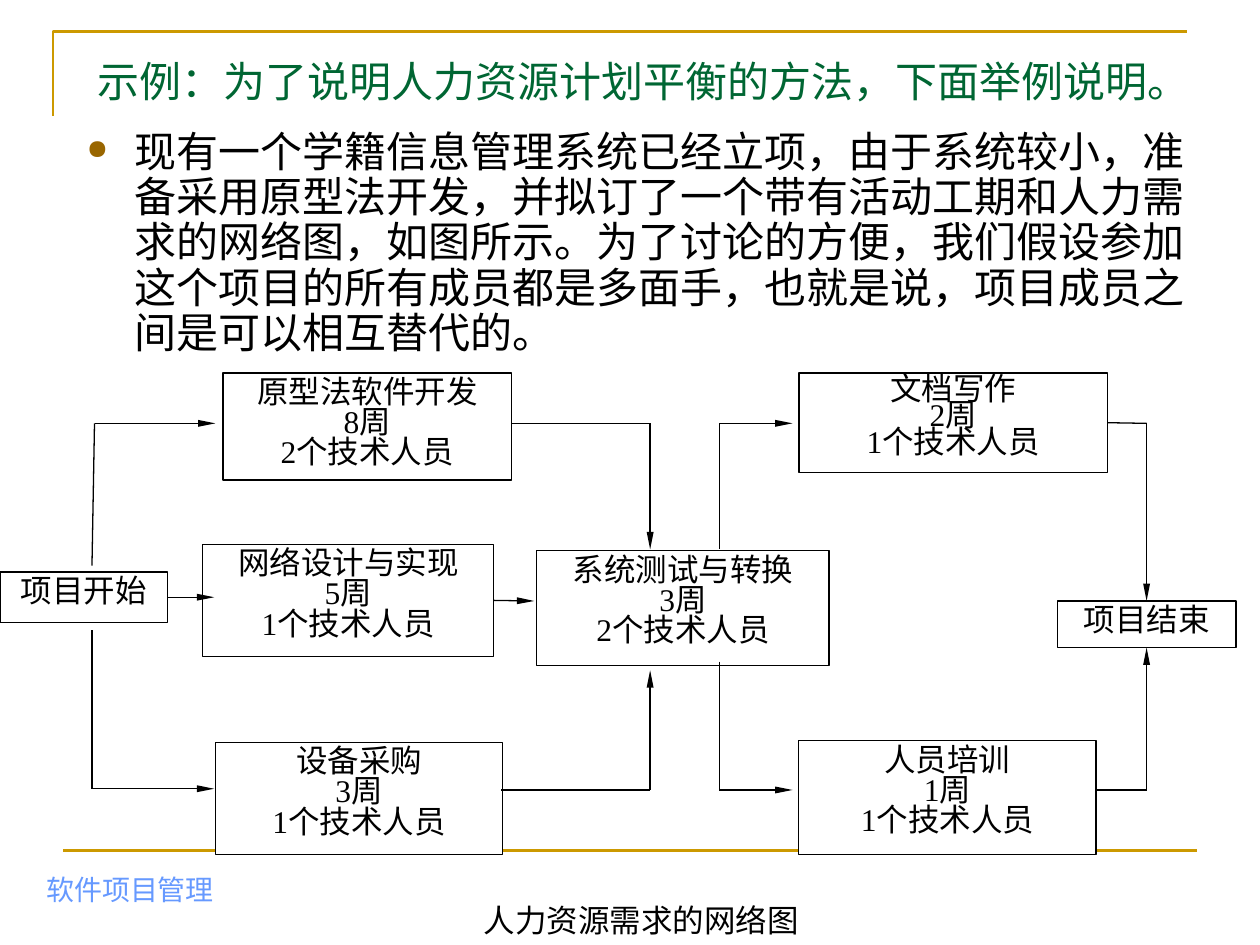
from dataclasses import dataclass

from lxml import etree
from pptx import Presentation
from pptx import util as u
from pptx.dml.color import RGBColor
from pptx.enum import shapes, text
from pptx.oxml.ns import qn

PX = 9144


@dataclass(frozen=True)
class Theme:
    ink: str = "000000"
    paper: str = "FFFFFF"
    rule: str = "CC9900"
    bullet: str = "996600"
    title: str = "006633"
    footer: str = "6699FF"
    serif: str = "Times New Roman"
    sans: str = "Arial"
    large: int = 24
    label: int = 18
    small: int = 16
    heavy: float = 1.5
    thin: float = 0.75


T = Theme()
TOP, LEFT, BOTTOM, RIGHT = range(4)

NODES = {
    "prototype": ((177, 0, 229, 85), 0.8, ["原型法软件开发", "8周", "2个技术人员"]),
    "document": ((634, 0, 245, 79), 0.7, ["文档写作", "2周", "1个技术人员"]),
    "network": ((161, 136, 231, 89), 0.8, ["网络设计与实现", "5周", "1个技术人员"]),
    "purchase": ((171, 293, 228, 89), 0.8, ["设备采购", "3周", "1个技术人员"]),
    "test": ((426, 141, 232, 91), 0.8, ["系统测试与转换", "3周", "2个技术人员"]),
    "training": ((634, 292, 236, 90), 0.8, ["人员培训", "1周", "1个技术人员"]),
    "start": ((0, 158, 133, 40), 0.8, ["项目开始"]),
    "end": ((839, 181, 142, 37), 0.8, ["项目结束"]),
}

LINES = [
    ((75, 40), (73, 153)),
    ((73, 204), (73, 330)),
    ((406, 40), (516, 40)),
    ((398, 331), (516, 331)),
    ((571, 40), (571, 140)),
    ((571, 229), (571, 330)),
    (("document", RIGHT), (910, 40)),
    ((870, 331), (910, 331)),
]

ARROWS = [
    ((75, 40), (171, 40)),
    ((73, 330), (170, 330)),
    (("start", RIGHT), (170, 178)),
    ((516, 40), (516, 140)),
    ((516, 331), (516, 236)),
    (("network", RIGHT), (424, 181)),
    ((571, 40), (629, 40)),
    ((571, 331), (629, 331)),
    ((910, 40), ("end", TOP)),
    ((910, 331), ("end", BOTTOM)),
]


def emu(*lengths):
    return [u.Emu(n * PX) for n in lengths]


def style_line(line, color, width):
    line.color.rgb = RGBColor.from_string(color)
    line.width = u.Pt(width)


def write(sp, lines, size, color, font=T.serif, frame=None, para=None):
    tf = sp.text_frame
    margins = dict(zip(("margin_left", "margin_top", "margin_right", "margin_bottom"),
                       emu(10, 5, 10, 5)))
    layout = {"word_wrap": True, "vertical_anchor": text.MSO_ANCHOR.TOP}
    for name, value in {**margins, **layout, **(frame or {})}.items():
        setattr(tf, name, value)
    for i, line in enumerate(lines):
        p = tf.paragraphs[0] if i == 0 else tf.add_paragraph()
        for name, value in {"alignment": text.PP_ALIGN.LEFT, **(para or {})}.items():
            setattr(p, name, value)
        r = p.add_run()
        r.text = line
        r.font.name = font
        r.font.size = u.Pt(size)
        r.font.color.rgb = RGBColor.from_string(color)
    return tf


def connect(slide, start, end, color, width, arrow=False):
    sp = slide.shapes.add_connector(shapes.MSO_CONNECTOR.STRAIGHT, *emu(*start, *end))
    style_line(sp.line, color, width)
    etree.SubElement(sp._element.spPr, qn("a:effectLst"))
    if arrow:
        etree.SubElement(sp.line._get_or_add_ln(), qn("a:tailEnd"),
                         type="triangle", w="sm", len="lg")
    return sp


def add_frame(slide, box):
    x, y, w, h = box
    outline = slide.shapes.build_freeform(x, y + 67, scale=PX)
    outline.add_line_segments([(x, y), (x + w, y)], close=False)
    sp = outline.convert_to_shape()
    sp.shadow.inherit = False
    sp.fill.background()
    style_line(sp.line, T.rule, T.heavy)
    connect(slide, (x + 8, y + h), (x + w + 8, y + h), T.rule, T.heavy)


def add_title(slide, box):
    sp = slide.shapes.title
    for name, value in zip(("left", "top", "width", "height"), emu(*box)):
        setattr(sp, name, value)
    write(sp, ["示例：为了说明人力资源计划平衡的方法，下面举例说明。"], T.large, T.title,
          frame={"vertical_anchor": text.MSO_ANCHOR.MIDDLE,
                 "auto_size": text.MSO_AUTO_SIZE.NONE})


def add_body(slide, box):
    sp = slide.shapes.add_textbox(*emu(*box))
    tf = write(sp, ["现有一个学籍信息管理系统已经立项，由于系统较小，准备采用原型法开发，"
                    "并拟订了一个带有活动工期和人力需求的网络图，如图所示。"
                    "为了讨论的方便，我们假设参加这个项目的所有成员都是多面手，"
                    "也就是说，项目成员之间是可以相互替代的。"],
               T.large, T.ink, T.sans, para={"line_spacing": 0.9})
    pPr = tf.paragraphs[0]._p.get_or_add_pPr()
    indent = 38 * PX
    pPr.set("marL", str(indent))
    pPr.set("indent", str(-indent))
    color = etree.SubElement(pPr, qn("a:buClr"))
    etree.SubElement(color, qn("a:srgbClr"), val=T.bullet)
    etree.SubElement(pPr, qn("a:buSzPct"), val="65000")
    etree.SubElement(pPr, qn("a:buChar"), char="●")


def add_node(slide, box, spacing, lines):
    sp = slide.shapes.add_shape(shapes.MSO_SHAPE.RECTANGLE, *emu(*box))
    sp.shadow.inherit = False
    sp.fill.solid()
    sp.fill.fore_color.rgb = RGBColor.from_string(T.paper)
    style_line(sp.line, T.ink, T.thin)
    write(sp, lines, T.label, T.ink,
          para={"alignment": text.PP_ALIGN.CENTER, "line_spacing": spacing})
    return sp


def add_network(slide, box):
    left, top = box[:2]
    nodes = {}
    for name, ((x, y, w, h), spacing, lines) in NODES.items():
        nodes[name] = add_node(slide, (left + x, top + y, w, h), spacing, lines)

    def place(point):
        return (left, top) if point[0] in nodes else (left + point[0], top + point[1])

    for links, arrow in ((LINES, False), (ARROWS, True)):
        for start, end in links:
            sp = connect(slide, place(start), place(end), T.ink, T.thin, arrow)
            if start[0] in nodes:
                sp.begin_connect(nodes[start[0]], start[1])
            if end[0] in nodes:
                sp.end_connect(nodes[end[0]], end[1])


def add_caption(slide, box):
    sp = slide.shapes.add_textbox(*emu(*box))
    write(sp, ["人力资源需求的网络图"], T.label, T.ink,
          frame={"word_wrap": False}, para={"alignment": text.PP_ALIGN.CENTER})


def add_footer(slide, box):
    sp = slide.shapes.add_textbox(*emu(*box))
    write(sp, ["软件项目管理"], T.small, T.footer,
          frame={"vertical_anchor": text.MSO_ANCHOR.BOTTOM})


def main():
    prs = Presentation()
    prs.slide_width, prs.slide_height = emu(1000, 750)
    slide = prs.slides.add_slide(prs.slide_layouts[5])
    add_frame(slide, (42, 25, 900, 650))
    add_footer(slide, (27, 674, 394, 50))
    add_title(slide, (67, 36, 906, 56))
    add_body(slide, (59, 99, 906, 190))
    add_caption(slide, (374, 710, 270, 40))
    add_network(slide, (0, 296, 981, 382))
    prs.save("out.pptx")


if __name__ == "__main__":
    main()
